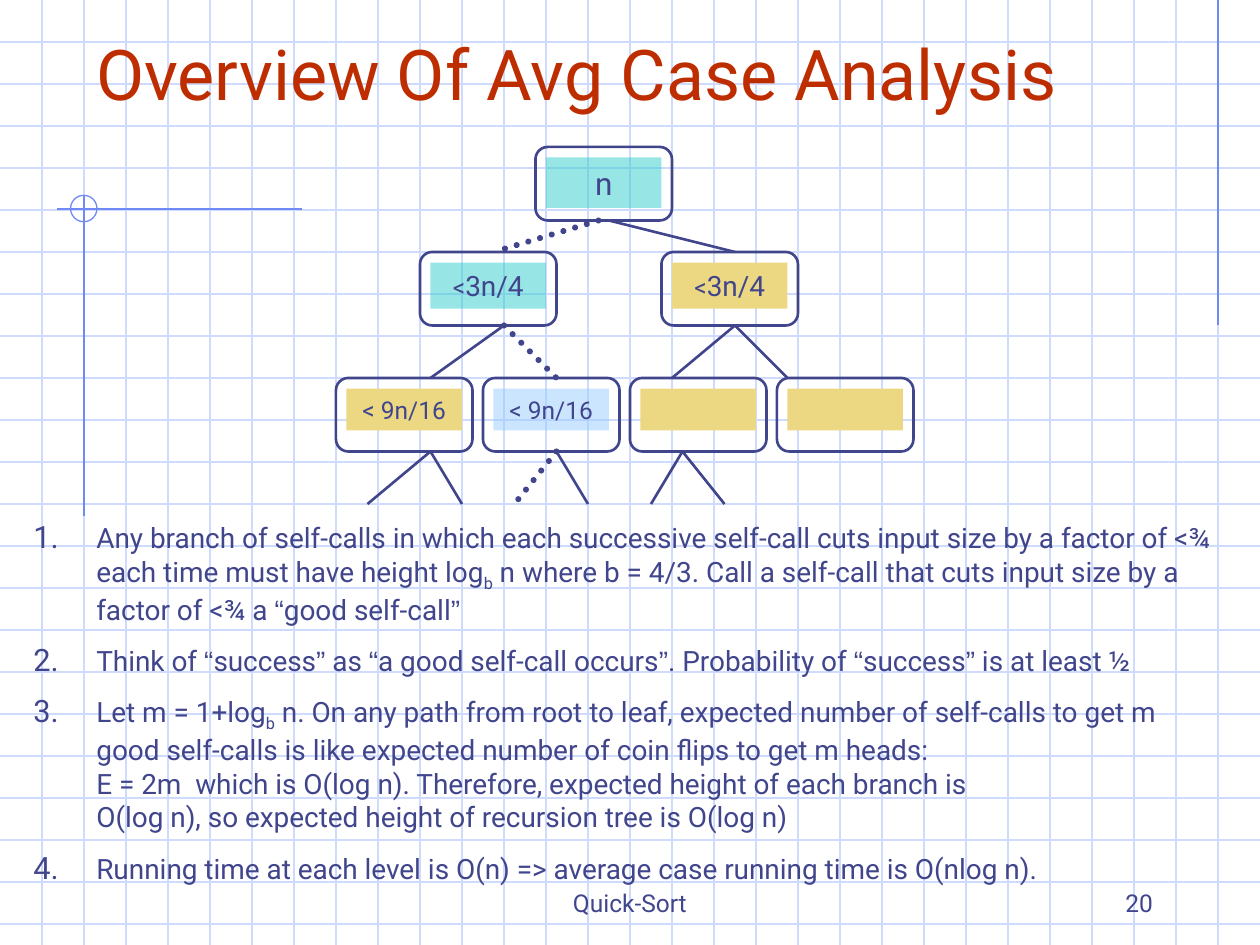
from itertools import groupby
from lxml import etree
from pptx import Presentation, util as u
from pptx.dml.color import RGBColor
from pptx.enum import dml, shapes, text
from pptx.oxml import ns

INK = RGBColor(0x40, 0x45, 0x8C)
RED = RGBColor(0xBE, 0x2D, 0x00)
GRID = RGBColor(0xCF, 0xDB, 0xFD)
BLUE = RGBColor(0x6F, 0x89, 0xF7)
TEAL = RGBColor(0x33, 0xCC, 0xCC)
SKY = RGBColor(0x99, 0xCC, 0xFF)
GOLD = RGBColor(0xEC, 0xD8, 0x82)

prs = Presentation()
prs.slide_width, prs.slide_height = u.Inches(10), u.Inches(7.5)
s = prs.slides.add_slide(prs.slide_layouts[6])

# The slide is a grid of 120 columns by 90 rows
CELL = prs.slide_width / 120
COLS, ROWS = 120, 90


def line(x1, y1, x2, y2, color, width):
    sp = s.shapes.add_connector(shapes.MSO_CONNECTOR.STRAIGHT,
                                *(round(v * CELL) for v in (x1, y1, x2, y2)))
    sp.line.color.rgb, sp.line.width = color, u.Pt(width)
    etree.SubElement(sp.element.spPr, ns.qn("a:effectLst"))
    return sp


def write(p, content, size, color=INK):
    """Text between tildes is subscript; curly quotes are set in Arial."""
    for i, part in enumerate(content.split("~")):
        for kind, chars in groupby(part, lambda ch: ch if ch in "“”\n" else ""):
            if kind == "\n":
                p.add_line_break()
                continue
            r = p.add_run()
            r.text = "".join(chars)
            r.font.name = "Arial" if kind else "Roboto"
            r.font.size, r.font.color.rgb = u.Pt(size), color
            if i % 2:
                r.font._element.set("baseline", "-25000")


# Graph paper
for y in range(4, ROWS, 4):
    line(0, y, COLS, y, GRID, 0.75)
for x in range(4, COLS, 4):
    line(x, 0, x, ROWS, GRID, 0.75)

# Blue drafting marks
for ends in [(116, 0, 116, 31), (28.8, 19.9, 5.4, 19.9), (8, 18.6, 8, 49.1)]:
    line(*ends, BLUE, 0.75)
sp = s.shapes.add_shape(shapes.MSO_SHAPE.ARC, *(round(v * CELL) for v in (6.72, 18.6, 2.52, 2.52)))
sp.adjustments[0], sp.adjustments[1] = 0, -90
sp.shadow.inherit = False
sp.fill.background()
sp.line.color.rgb, sp.line.width = BLUE, u.Pt(0.75)

# Title and footer
for content, box, size, color, align, bottom in [
    ("Quick-Sort", (41, 82, 38, 6), 14, INK, text.PP_ALIGN.CENTER, 0.05),
    ("20", (86, 82, 25, 6), 14, INK, text.PP_ALIGN.RIGHT, 0.05),
    ("Overview Of Avg Case Analysis", (8, 4, 102, 15), 40, RED, text.PP_ALIGN.LEFT, 0.69),
]:
    tf = s.shapes.add_textbox(*(round(v * CELL) for v in box)).text_frame
    for name, value in {"word_wrap": True, "vertical_anchor": text.MSO_ANCHOR.BOTTOM,
                        "margin_top": 0, "margin_bottom": u.Inches(bottom)}.items():
        setattr(tf, name, value)
    tf.paragraphs[0].alignment = align
    write(tf.paragraphs[0], content, size, color)

# Tree branches: ends in cells, and whether the branch is on the dotted path
for *ends, dotted in [
    (58, 21, 70, 24, False), (57, 21, 47, 24, True),
    (48, 31, 41, 36, False), (48, 31, 53, 36, True),
    (70, 31, 64, 36, False), (70, 31, 75, 36, False),
    (41, 43, 35, 48, False), (41, 43, 44, 48, False),
    (53, 43, 49, 48, True), (53, 43, 56, 48, False),
    (65, 43, 62, 48, False), (65, 43, 69, 48, False),
]:
    sp = line(*ends, INK, 3.5 if dotted else 1.5)
    if dotted:
        sp.line.dash_style = dml.MSO_LINE.ROUND_DOT
        sp.line._get_or_add_ln().set("cap", "rnd")

# Tree nodes: a rounded frame around a filled label
for x, y, height, color, alpha, before, runs in [
    (51, 14, 4.8, TEAL, 50, 11.2, [("n", 18)]),
    (40, 24, 4.4, TEAL, 50, 10, [("<", 14), ("3n/4", 16)]),
    (63, 24, 4.4, GOLD, 100, 10, [("<", 14), ("3n/4", 16)]),
    (32, 36, 4, GOLD, 100, 8.8, [("< 9n/16", 14)]),
    (46, 36, 4, SKY, 50, 8.8, [("< 9n/16", 14)]),
    (60, 36, 4, GOLD, 100, 0, []),
    (74, 36, 4, GOLD, 100, 0, []),
]:
    frame = s.shapes.add_shape(shapes.MSO_SHAPE.FLOWCHART_ALTERNATE_PROCESS,
                               *(round(v * CELL) for v in (x, y, 13, 7)))
    frame.fill.background()
    frame.line.color.rgb, frame.line.width = INK, u.Pt(1.5)
    label = s.shapes.add_shape(shapes.MSO_SHAPE.RECTANGLE,
                               *(round(v * CELL) for v in (x + 1, y + 1, 11, height)))
    label.fill.solid()
    label.fill.fore_color.rgb = color
    label.line.fill.background()
    frame.shadow.inherit = label.shadow.inherit = False
    if alpha < 100:
        clr = label.element.spPr.find(".//" + ns.qn("a:srgbClr"))
        etree.SubElement(clr, ns.qn("a:alpha"), val=str(alpha * 1000))
    tf = label.text_frame
    tf.vertical_anchor = text.MSO_ANCHOR.TOP
    p = tf.paragraphs[0]
    p.alignment, p.space_before = text.PP_ALIGN.CENTER, u.Pt(before)
    for content, size in runs:
        write(p, content, size)

# Numbered argument
tf = s.shapes.add_textbox(*(round(v * CELL) for v in (2, 49, 115, 41.5))).text_frame
tf.word_wrap = True
for i, content in enumerate([
    "Any branch of self-calls in which each successive self-call cuts input size by a factor "
    "of <¾ each time must have height log~b~ n where b = 4/3. Call a self-call that cuts "
    "input size by a factor of <¾ a “good self-call”",
    "Think of “success” as “a good self-call occurs”. Probability of “success” is at least ½",
    "Let m = 1+log~b~ n. On any path from root to leaf, expected number of self-calls to get m "
    "good self-calls is like expected number of coin flips to get m heads:\n"
    "E = 2m  which is O(log n). Therefore, expected height of each branch is\n"
    "O(log n), so expected height of recursion tree is O(log n)",
    "Running time at each level is O(n) => average case running time is O(nlog n).",
]):
    p = tf.add_paragraph() if i else tf.paragraphs[0]
    p.space_before = u.Pt(10)
    pPr = p._p.get_or_add_pPr()
    for name, value in {"marL": 0.5, "indent": -0.5}.items():
        pPr.set(name, str(u.Inches(value)))
    clr = etree.SubElement(pPr, ns.qn("a:buClr"))
    etree.SubElement(clr, ns.qn("a:srgbClr"), val=str(INK))
    etree.SubElement(pPr, ns.qn("a:buSzPct"), val="110000")
    etree.SubElement(pPr, ns.qn("a:buFont"), typeface="Roboto")
    etree.SubElement(pPr, ns.qn("a:buAutoNum"), type="arabicPeriod")
    write(p, content, 16)

prs.save("out.pptx")
